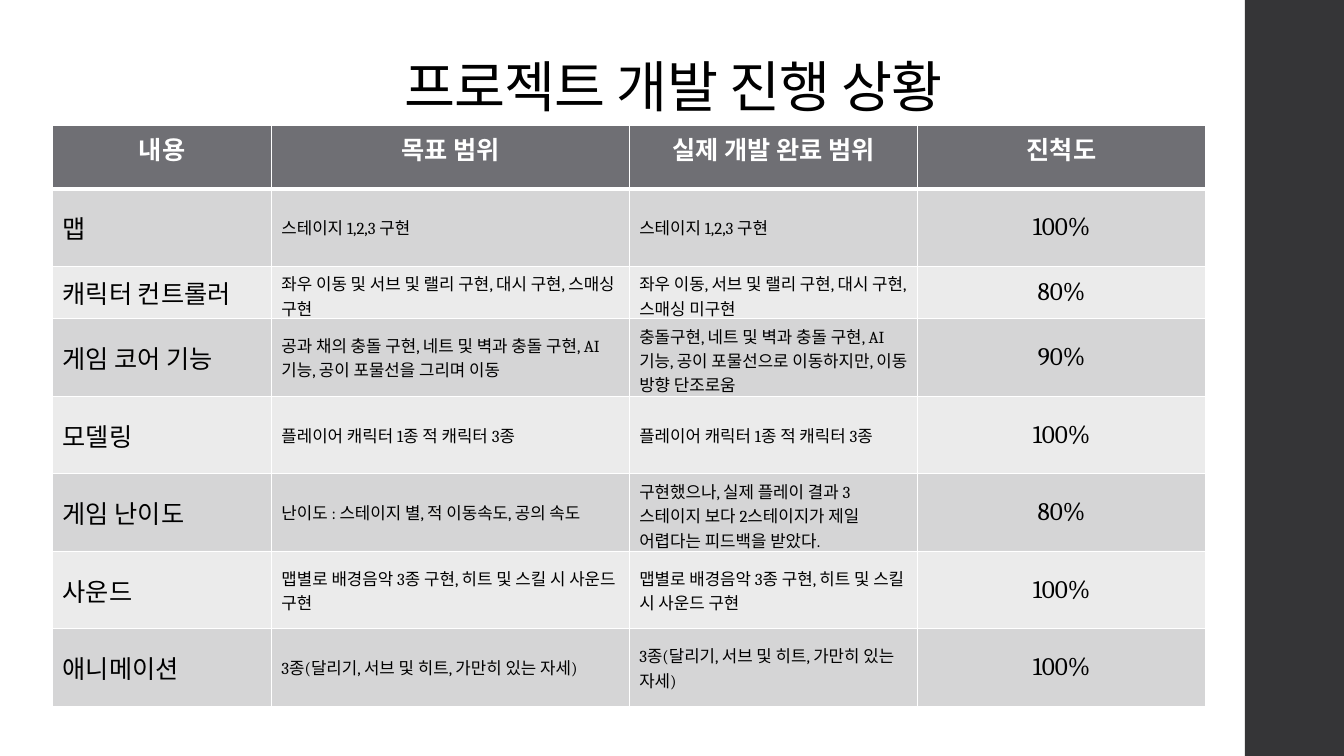
import pptx
import pptx.util
import pptx.dml.color
import pptx.enum.shapes
import pptx.enum.text
import pptx.oxml
import pptx.oxml.ns

Pt = pptx.util.Pt
Align = pptx.enum.text.PP_ALIGN
Anchor = pptx.enum.text.MSO_ANCHOR

FONT = "Cambria"
COLORS = {
    "sidebar": "353537",
    "header": "6F6F74",
    "dark_band": "D5D5D6",
    "light_band": "EBEBEB",
    "ink": "000000",
    "white": "FFFFFF",
}
COLUMN_WIDTHS = [156.25, 255.6, 205.9, 205.9]
HEADER_HEIGHT, ROW_HEIGHT, SHORT_ROW_HEIGHT = 45.4, 55.4, 37.4
SHORT_ROW = 2
HEADERS = ["내용", "목표 범위", "실제 개발 완료 범위", "진척도"]
PROGRESS = [
    ["맵", "스테이지 1,2,3 구현", "스테이지 1,2,3 구현", "100%"],
    ["캐릭터 컨트롤러",
     "좌우 이동 및 서브 및 랠리 구현, 대시 구현, 스매싱 구현",
     "좌우 이동, 서브 및 랠리 구현, 대시 구현, 스매싱 미구현", "80%"],
    ["게임 코어 기능",
     "공과 채의 충돌 구현, 네트 및 벽과 충돌 구현, AI기능, 공이 포물선을 그리며 이동",
     "충돌구현, 네트 및 벽과 충돌 구현, AI기능, 공이 포물선으로 이동하지만, 이동 방향 단조로움",
     "90%"],
    ["모델링", "플레이어 캐릭터 1종 적 캐릭터 3종",
     "플레이어 캐릭터 1종 적 캐릭터 3종", "100%"],
    ["게임 난이도", "난이도 : 스테이지 별, 적 이동속도, 공의 속도",
     "구현했으나, 실제 플레이 결과 3스테이지 보다 2스테이지가 제일 어렵다는 피드백을 받았다.",
     "80%"],
    ["사운드", "맵별로 배경음악 3종 구현, 히트 및 스킬 시 사운드 구현",
     "맵별로 배경음악 3종 구현, 히트 및 스킬 시 사운드 구현", "100%"],
    ["애니메이션", "3종(달리기, 서브 및 히트, 가만히 있는 자세)",
     "3종(달리기, 서브 및 히트, 가만히 있는 자세)", "100%"],
]


def color(name):
    return pptx.dml.color.RGBColor.from_string(COLORS[name])


def write(para, text, size, ink, align, bold=False):
    para.text = text
    para.alignment = align
    para.font.name = FONT
    para.font.size = Pt(size)
    para.font.bold = bold
    para.font.color.rgb = color(ink)


def set_borders(cell, top, bottom):
    properties = cell._tc.get_or_add_tcPr()
    widths = {"lnL": 1, "lnR": 1, "lnT": top, "lnB": bottom}
    for index, (side, width) in enumerate(widths.items()):
        line = pptx.oxml.parse_xml(
            f'<a:{side} {pptx.oxml.ns.nsdecls("a")} w="{Pt(width)}">'
            f'<a:solidFill><a:srgbClr val="{COLORS["white"]}"/></a:solidFill>'
            f'</a:{side}>')
        properties.insert(index, line)


def add_sidebar(page, left, top, width, height):
    bar = page.shapes.add_shape(
        pptx.enum.shapes.MSO_SHAPE.RECTANGLE,
        Pt(left), Pt(top), Pt(width), Pt(height))
    bar.shadow.inherit = False
    bar.fill.solid()
    bar.fill.fore_color.rgb = color("sidebar")
    bar.line.fill.background()


def add_title(page, left, top, width, height, text):
    box = page.shapes.add_textbox(Pt(left), Pt(top), Pt(width), Pt(height))
    frame = box.text_frame
    frame.word_wrap = True
    frame.vertical_anchor = Anchor.BOTTOM
    para = frame.paragraphs[0]
    write(para, text, 39.6, "ink", Align.CENTER)
    para.line_spacing = 0.9
    para.runs[0].font._element.set("spc", "-50")


def add_progress_table(page, left, top, width, height):
    rows = [HEADERS] + PROGRESS
    table = page.shapes.add_table(
        len(rows), len(HEADERS), Pt(left), Pt(top), Pt(width), Pt(height)).table
    table.horz_banding = False
    for column, column_width in zip(table.columns, COLUMN_WIDTHS):
        column.width = Pt(column_width)
    special_heights = {0: HEADER_HEIGHT, SHORT_ROW: SHORT_ROW_HEIGHT}
    for row_index, texts in enumerate(rows):
        is_header = row_index == 0
        table.rows[row_index].height = Pt(special_heights.get(row_index, ROW_HEIGHT))
        band = "header" if is_header else "dark_band" if row_index % 2 else "light_band"
        for column_index, text in enumerate(texts):
            cell = table.cell(row_index, column_index)
            cell.fill.solid()
            cell.fill.fore_color.rgb = color(band)
            cell.vertical_anchor = Anchor.TOP if is_header else Anchor.MIDDLE
            size = 12 if not is_header and column_index in (1, 2) else 18
            centered = is_header or column_index == 3
            write(cell.text_frame.paragraphs[0], text, size,
                  "white" if is_header else "ink",
                  Align.CENTER if centered else Align.LEFT, is_header)
            set_borders(cell, 3 if row_index == 1 else 1, 3 if is_header else 1)


def add_progress_page(deck):
    page = deck.slides.add_slide(deck.slide_layouts[6])
    add_sidebar(page, 889.2, 0, 70.8, 540)
    add_title(page, 99.4, 37.4, 763.2, 51.8, "프로젝트 개발 진행 상황")
    add_progress_table(page, 37.6, 89.5, sum(COLUMN_WIDTHS), 415)


deck = pptx.Presentation()
deck.slide_width = Pt(960)
deck.slide_height = Pt(540)
add_progress_page(deck)
deck.save("out.pptx")
